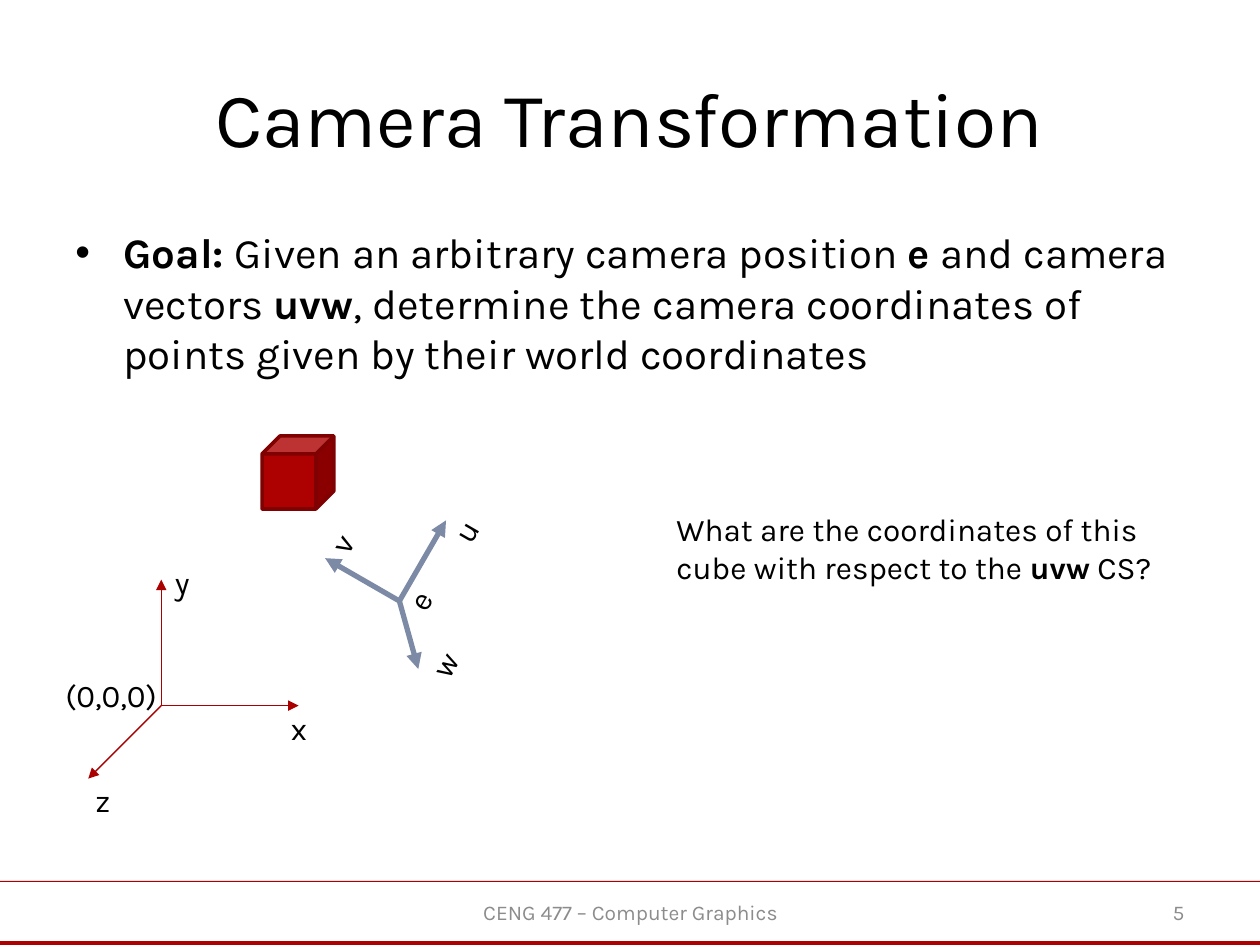
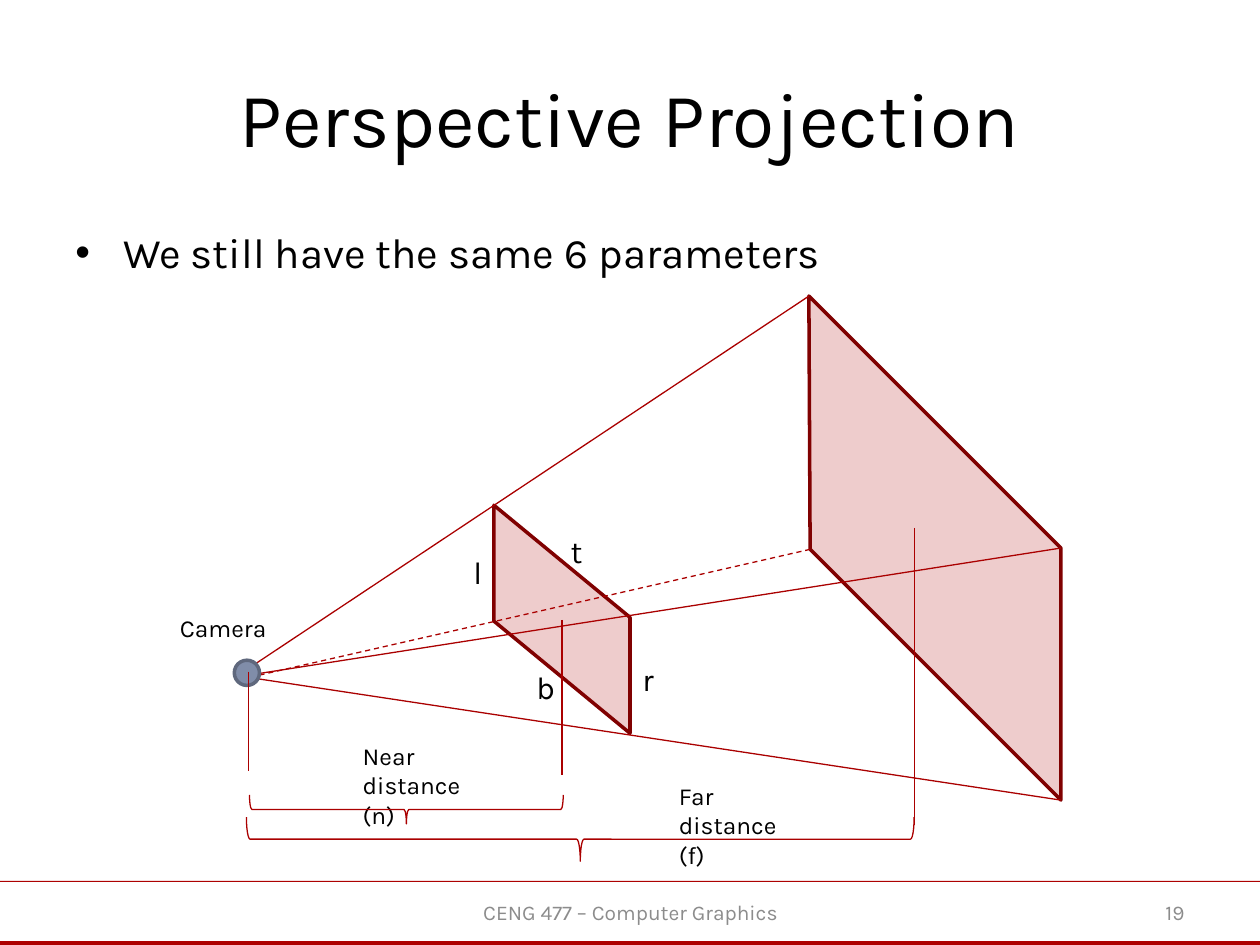
from dataclasses import dataclass

from lxml import etree
from pptx import Presentation
from pptx.dml.color import RGBColor
from pptx.enum.dml import MSO_LINE_DASH_STYLE as Dash
from pptx.enum.shapes import MSO_CONNECTOR as Connector, MSO_SHAPE as Preset
from pptx.enum.text import MSO_ANCHOR as Anchor, MSO_AUTO_SIZE as AutoSize, PP_ALIGN as Align
from pptx.oxml.ns import qn
from pptx.util import Inches, Pt


@dataclass(frozen=True)
class Theme:
    font: str = "Karla"
    ink: str = "000000"
    muted: str = "8C8C8C"
    red: str = "AD0101"
    dark_red: str = "800101"
    thin_red: str = "AA0000"
    camera_axis: str = "7C8AA6"
    camera_fill: str = "808DA9"
    camera_edge: str = "5F687D"
    title: int = 44
    body: int = 24
    label: int = 18
    small: int = 14
    footer: int = 12
    thin: float = 0.75
    edge: float = 2
    axis: float = 3


THEME = Theme()
FOOTER = "CENG 477 – Computer Graphics"


@dataclass(frozen=True)
class Span:
    text: str
    bold: bool = False


@dataclass(frozen=True)
class Area:
    left: float
    top: float
    width: float
    height: float

    def lengths(self) -> list:
        return [Inches(v) for v in (self.left, self.top, self.width, self.height)]


@dataclass(frozen=True)
class Label:
    """Text in a box; each entry of lines is one paragraph."""
    area: Area
    lines: tuple
    size: int = THEME.label
    color: str = THEME.ink
    align: Align = Align.LEFT
    anchor: Anchor = Anchor.TOP
    wrap: bool = False
    grow: bool = True
    rotation: float = 0
    inset: bool = True


@dataclass(frozen=True)
class Stroke:
    start: tuple
    end: tuple
    color: str = THEME.thin_red
    width: float = THEME.thin
    arrow: bool = False
    dashed: bool = False


def rgb(code: str) -> RGBColor:
    return RGBColor.from_string(code)


def add_label(page, label: Label):
    box = page.shapes.add_textbox(*label.area.lengths())
    box.rotation = label.rotation
    frame = box.text_frame
    frame.word_wrap = label.wrap
    frame.auto_size = AutoSize.SHAPE_TO_FIT_TEXT if label.grow else AutoSize.NONE
    frame.vertical_anchor = label.anchor
    if not label.inset:
        frame.margin_left = frame.margin_right = frame.margin_top = frame.margin_bottom = 0
    for index, spans in enumerate(label.lines):
        para = frame.paragraphs[0] if index == 0 else frame.add_paragraph()
        para.alignment = label.align
        for span in spans:
            run = para.add_run()
            run.text = span.text
            run.font.name = THEME.font
            run.font.size = Pt(label.size)
            run.font.bold = span.bold
            run.font.color.rgb = rgb(label.color)
    return box


def add_stroke(page, stroke: Stroke) -> None:
    ends = [Inches(v) for v in (*stroke.start, *stroke.end)]
    line = page.shapes.add_connector(Connector.STRAIGHT, *ends)
    line.line.color.rgb = rgb(stroke.color)
    line.line.width = Pt(stroke.width)
    if stroke.dashed:
        line.line.dash_style = Dash.DASH
    properties = line._element.spPr
    if stroke.arrow:
        etree.SubElement(properties.find(qn("a:ln")), qn("a:tailEnd"), type="triangle")
    etree.SubElement(properties, qn("a:effectLst"))


def paint(shape, fill: str = "", edge: str = "", width: float = THEME.edge) -> None:
    shape.shadow.inherit = False
    if fill:
        shape.fill.solid()
        shape.fill.fore_color.rgb = rgb(fill)
    else:
        shape.fill.background()
    if edge:
        shape.line.color.rgb = rgb(edge)
        shape.line.width = Pt(width)
    else:
        shape.line.fill.background()


def add_preset(page, preset: Preset, area: Area, fill: str = "", edge: str = "",
               width: float = THEME.edge, rotation: float = 0) -> None:
    shape = page.shapes.add_shape(preset, *area.lengths())
    shape.rotation = rotation
    paint(shape, fill, edge, width)


def add_plane(page, corners: tuple) -> None:
    points = [(Inches(x), Inches(y)) for x, y in corners]
    builder = page.shapes.build_freeform(*points[0])
    builder.add_line_segments(points[1:], close=True)
    plane = builder.convert_to_shape()
    paint(plane, THEME.red, THEME.dark_red)
    color = plane._element.spPr.find(qn("a:solidFill"))[0]
    etree.SubElement(color, qn("a:alpha"), val="20000")


def add_bullet(page, spans: tuple) -> None:
    box = add_label(page, Label(Area(0.5, 1.75, 9, 4.95), (spans,), THEME.body,
                                wrap=True, grow=False))
    para = box.text_frame.paragraphs[0]
    para.space_before = Pt(5)
    properties = para._p.get_or_add_pPr()
    properties.set("marL", str(Inches(0.38)))
    properties.set("indent", str(-Inches(0.38)))
    etree.SubElement(properties, qn("a:buFont"), typeface="Arial")
    etree.SubElement(properties, qn("a:buChar"), char="•")


def start_page(deck, title: str, number: int, bullet: tuple):
    """Page with the shared bands, title, bullet and footer."""
    page = deck.slides.add_slide(deck.slide_layouts[6])
    for top, height in ((6.99, 0.01), (7.47, 0.03)):
        add_preset(page, Preset.RECTANGLE, Area(0, top, 10, height), THEME.red)
    fixed = dict(anchor=Anchor.MIDDLE, wrap=True, grow=False)
    add_label(page, Label(Area(0.5, 0.3, 9, 1.25), ((Span(title),),), THEME.title,
                          align=Align.CENTER, **fixed))
    add_bullet(page, bullet)
    for area, text, align in ((Area(3.42, 7.04, 3.17, 0.4), FOOTER, Align.CENTER),
                              (Area(7.17, 7.04, 2.33, 0.4), str(number), Align.RIGHT)):
        add_label(page, Label(area, ((Span(text),),), THEME.footer, THEME.muted, align, **fixed))
    return page


def add_letters(page, letters: tuple) -> None:
    for text, left, top, width in letters:
        add_label(page, Label(Area(left, top, width, 0.4), ((Span(text),),)))


def camera_page(deck) -> None:
    page = start_page(deck, "Camera Transformation", 5, (
        Span("Goal: ", True), Span("Given an arbitrary camera position "), Span("e", True),
        Span(" and camera vectors "), Span("uvw", True),
        Span(", determine the camera coordinates of points given by their world coordinates")))

    # Camera axes, with letters turned along the camera
    eye = (3.17, 4.77)
    for tip in ((3.54, 4.13), (2.58, 4.43), (3.32, 5.31)):
        add_stroke(page, Stroke(eye, tip, THEME.camera_axis, THEME.axis, arrow=True))
    side = 0.3
    for text, x, y in (("u", 3.69, 4.21), ("v", 2.71, 4.31), ("w", 3.53, 5.27), ("e", 3.33, 4.76)):
        add_label(page, Label(Area(x - side / 2, y - side / 2, side, side), ((Span(text),),),
                              align=Align.CENTER, anchor=Anchor.MIDDLE, wrap=True,
                              grow=False, rotation=300, inset=False))

    # World axes
    origin = (1.28, 5.6)
    for tip in ((2.37, 5.6), (1.28, 4.6), (0.7, 6.18)):
        add_stroke(page, Stroke(origin, tip, arrow=True))
    add_letters(page, (("x", 2.21, 5.58, 0.33), ("y", 1.29, 4.42, 0.33),
                       ("z", 0.66, 6.15, 0.33), ("(0,0,0)", 0.42, 5.32, 0.93)))

    # Cube and question
    add_preset(page, Preset.CUBE, Area(2.08, 3.46, 0.57, 0.58), THEME.red, THEME.dark_red)
    add_label(page, Label(Area(5.27, 4, 3.99, 0.71), (
        (Span("What are the coordinates of this"),),
        (Span("cube with respect to the "), Span("uvw", True), Span(" CS?")))))


def perspective_page(deck) -> None:
    page = start_page(deck, "Perspective Projection", 19,
                      (Span("We still have the same 6 parameters"),))

    # Near and far planes, corners clockwise from top left
    near = ((3.92, 4.01), (5, 4.9), (5, 5.82), (3.92, 4.93))
    far = ((6.42, 2.35), (8.42, 4.35), (8.42, 6.35), (6.43, 4.36))
    for corners in (near, far):
        add_plane(page, corners)

    # Rays from the camera to the far corners; the last one is hidden
    starts = ((1.92, 5.34), (1.9, 5.37), (1.93, 5.37), (1.92, 5.39))
    for start, corner in zip(starts, far):
        add_stroke(page, Stroke(start, corner, dashed=corner == far[-1]))
    add_letters(page, (("l", 3.66, 4.34, 0.26), ("r", 5, 5.19, 0.29),
                       ("t", 4.43, 4.17, 0.27), ("b", 4.16, 5.25, 0.34)))

    # Camera
    add_preset(page, Preset.OVAL, Area(1.86, 5.24, 0.2, 0.2), THEME.camera_fill, THEME.camera_edge)
    add_label(page, Label(Area(1.33, 4.82, 0.9, 0.34), ((Span("Camera"),),), THEME.small))

    # Distances: labels, guides and braces
    for area, name, symbol in ((Area(2.78, 5.83, 1.22, 0.57), "Near", "n"),
                               (Area(5.29, 6.15, 1.17, 0.57), "Far", "f")):
        lines = ((Span(name),), (Span(f"distance ({symbol})"),))
        add_label(page, Label(area, lines, THEME.small, wrap=True))
    for x, top, bottom in ((4.46, 4.92, 6.15), (7.26, 4.19, 6.55), (1.97, 5.33, 6.12)):
        add_stroke(page, Stroke((x, top), (x, bottom)))
    for area in (Area(3.11, 5.18, 0.23, 2.49), Area(4.43, 4.01, 0.35, 5.3)):
        add_preset(page, Preset.RIGHT_BRACE, area, edge=THEME.thin_red,
                   width=THEME.thin, rotation=90)


def main() -> None:
    deck = Presentation()
    deck.slide_width, deck.slide_height = Inches(10), Inches(7.5)
    camera_page(deck)
    perspective_page(deck)
    deck.save("out.pptx")


if __name__ == "__main__":
    main()
